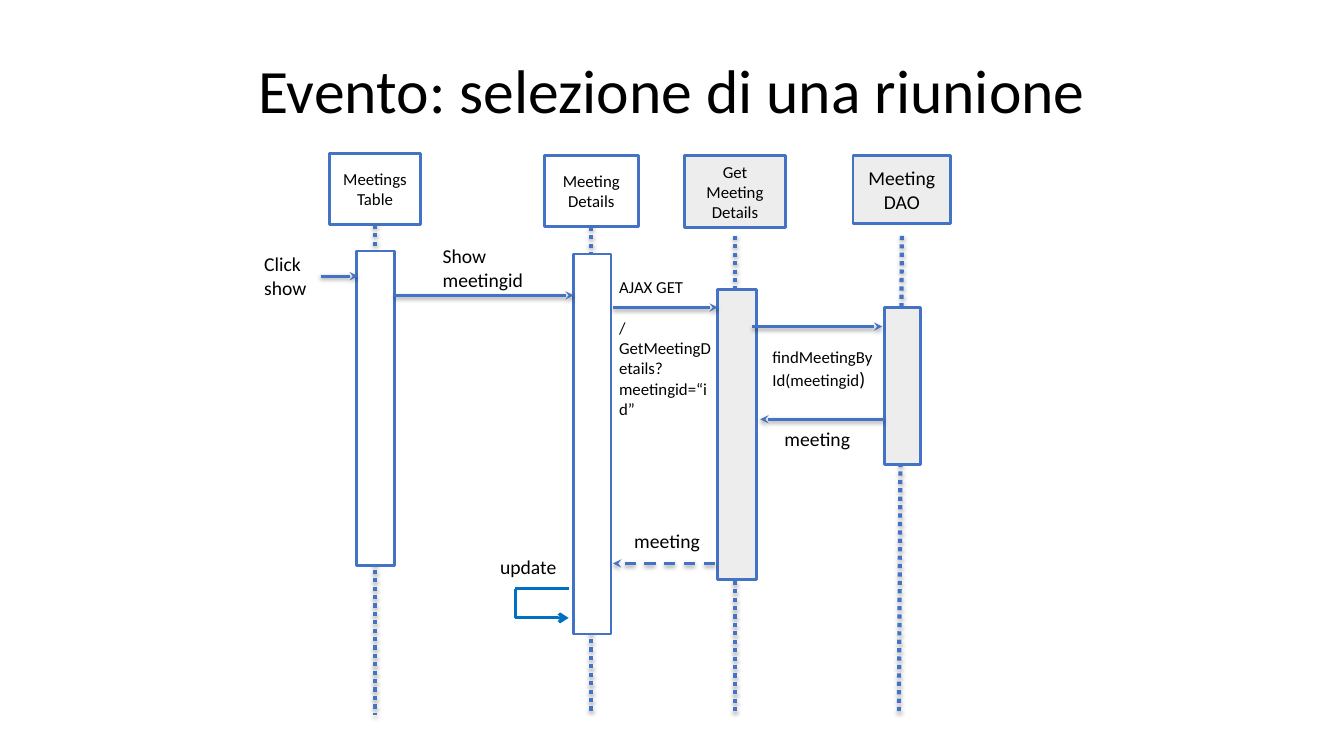
from lxml.etree import SubElement
from pptx import Presentation
from pptx.dml.color import RGBColor
from pptx.enum.dml import MSO_LINE
from pptx.enum.shapes import MSO_CONNECTOR, MSO_SHAPE
from pptx.enum.text import MSO_ANCHOR, PP_ALIGN
from pptx.oxml.ns import qn
from pptx.util import Inches, Pt

BLACK = RGBColor(0x00, 0x00, 0x00)
WHITE = RGBColor(0xFF, 0xFF, 0xFF)
GREY = RGBColor(0xED, 0xED, 0xED)
BLUE = RGBColor(0x44, 0x72, 0xC4)
LOOP_BLUE = RGBColor(0x00, 0x70, 0xC0)
FONT = "Calibri"
LIFELINE_END = 7.09


def put_text(frame, paragraphs, size=14, align=PP_ALIGN.LEFT,
             anchor=MSO_ANCHOR.TOP, gap=0, spacing=None):
    """A paragraph is a string, or a list of (text, size) pieces."""
    frame.word_wrap = True
    frame.vertical_anchor = anchor
    frame.margin_left = frame.margin_right = Inches(0.12)
    frame.margin_top = frame.margin_bottom = Inches(0.06)
    for index, content in enumerate(paragraphs):
        paragraph = frame.add_paragraph() if index else frame.paragraphs[0]
        paragraph.alignment = align
        if spacing:
            paragraph.line_spacing = spacing
        if index and gap:
            paragraph.space_before = Pt(gap)
        pieces = [(content, size)] if isinstance(content, str) else content
        for text, piece_size in pieces:
            for row, words in enumerate(text.split("\n")):
                if row:
                    paragraph.add_line_break()
                run = paragraph.add_run()
                run.text = words
                run.font.name = FONT
                run.font.size = Pt(piece_size)
                run.font.color.rgb = BLACK


def add_label(slide, box, paragraphs, **text_format):
    label = slide.shapes.add_textbox(*map(Inches, box))
    put_text(label.text_frame, paragraphs, **text_format)


def add_box(slide, box, fill):
    rectangle = slide.shapes.add_shape(MSO_SHAPE.RECTANGLE, *map(Inches, box))
    rectangle.shadow.inherit = False
    rectangle.fill.solid()
    rectangle.fill.fore_color.rgb = fill
    rectangle.line.color.rgb = BLUE
    rectangle.line.width = Pt(2)
    return rectangle


def add_line(slide, start, end, color=BLUE, width=2, dash=None, head=None, shadow=None):
    """shadow is (opacity in percent, distance in points)."""
    line = slide.shapes.add_connector(
        MSO_CONNECTOR.STRAIGHT, *map(Inches, (*start, *end)))
    line.line.color.rgb = color
    line.line.width = Pt(width)
    if dash:
        line.line.dash_style = dash
    properties = line._element.spPr
    if head:
        SubElement(line.line._get_or_add_ln(), qn("a:tailEnd"), type=head)
    effects = SubElement(properties, qn("a:effectLst"))
    if shadow:
        opacity, distance = shadow
        outer = SubElement(effects, qn("a:outerShdw"), blurRad=str(Pt(3.1)),
                           dist=str(Pt(distance)), dir="5400000", rotWithShape="0")
        shade = SubElement(outer, qn("a:srgbClr"), val=str(BLACK))
        SubElement(shade, qn("a:alpha"), val=str(opacity * 1000))
    return line


def add_message(slide, start_x, end_x, y, dash=None):
    add_line(slide, (start_x, y), (end_x, y), dash=dash, head="stealth", shadow=(38, 1.6))


def add_participant(slide, head_box, name, bar_box, fill, top, drift=0, size=12,
                    joined=False):
    """Head, dotted lifeline below it, and activation bar on the lifeline."""
    left, _, width, _ = head_box
    center = left + width / 2
    head = add_box(slide, head_box, fill)
    put_text(head.text_frame, name, size=size, align=PP_ALIGN.CENTER,
             anchor=MSO_ANCHOR.MIDDLE)
    lifeline = add_line(slide, (center, top), (center + drift, LIFELINE_END),
                        width=3, dash=MSO_LINE.ROUND_DOT, shadow=(35, 1.8))
    if joined:
        lifeline.begin_connect(head, 2)
    add_box(slide, bar_box, fill)


def add_update_loop(slide, box):
    """Self call: out to the left, down, and back with an arrow."""
    left, top, width, height = box
    right, bottom = left + width, top + height
    corners = [(right, top), (left, top), (left, bottom), (right, bottom)]
    for start, end in zip(corners, corners[1:]):
        add_line(slide, start, end, color=LOOP_BLUE, width=2.25,
                 head="arrow" if end == corners[-1] else None)


def add_title(slide, box, text):
    title = slide.shapes.title
    title.left, title.top, title.width, title.height = map(Inches, box)
    put_text(title.text_frame, [text], size=44, align=PP_ALIGN.CENTER,
             anchor=MSO_ANCHOR.MIDDLE, spacing=0.9)


def add_participants(slide):
    # Client side
    add_participant(slide, (3.27, 1.52, 0.9, 0.71), ["Meetings", "Table"],
                    (3.54, 2.49, 0.37, 3.12), WHITE, top=2.23, joined=True)
    add_participant(slide, (5.4, 1.54, 0.93, 0.71), ["Meeting", "Details"],
                    (5.69, 2.52, 0.37, 3.77), WHITE, top=2.25, joined=True)
    # Server side
    add_participant(slide, (6.79, 1.54, 1, 0.72), ["Get", "Meeting", "Details"],
                    (7.12, 2.87, 0.38, 2.88), GREY, top=2.34)
    add_participant(slide, (8.46, 1.54, 0.97, 0.68), ["Meeting", "DAO"],
                    (8.77, 3.05, 0.36, 1.56), GREY, top=2.34, drift=-0.03, size=14)


def add_messages(slide):
    # Selection of a meeting
    add_label(slide, (2.5, 2.44, 0.76, 0.49), ["Click", "show"])
    add_message(slide, 3.18, 3.55, 2.74)
    add_label(slide, (4.27, 2.36, 1.13, 0.66), ["Show meetingid"])
    add_message(slide, 3.91, 5.69, 2.93)
    # Request to the server
    add_label(slide, (6.02, 2.69, 1.18, 1.05),
              ["AJAX GET", "/GetMeetingDetails?meetingid=“id”"], size=12, gap=14.6)
    add_message(slide, 6.08, 7.12, 3.05)
    add_label(slide, (7.54, 3.38, 1.32, 0.65),
              [[("findMeetingBy\nId(meetingid", 12), (")", 14)]])
    add_message(slide, 7.46, 8.75, 3.24)
    # Replies
    add_label(slide, (7.66, 4.18, 1.08, 0.34), ["meeting"])
    add_message(slide, 8.77, 7.54, 4.16)
    add_label(slide, (6.17, 5.19, 1.05, 0.31), ["meeting"])
    add_message(slide, 7.09, 6.08, 5.59, dash=MSO_LINE.DASH)
    # Refresh of the details
    add_label(slide, (4.84, 5.45, 0.84, 0.34), ["update"])
    add_update_loop(slide, (5.11, 5.84, 0.53, 0.29))


def main():
    deck = Presentation()
    deck.slide_width, deck.slide_height = Inches(13.33), Inches(7.5)
    slide = deck.slides.add_slide(deck.slide_layouts.get_by_name("Title Only"))
    add_title(slide, (1.79, 0.3, 9.75, 1.25), "Evento: selezione di una riunione")
    add_participants(slide)
    add_messages(slide)
    deck.save("out.pptx")


if __name__ == "__main__":
    main()
